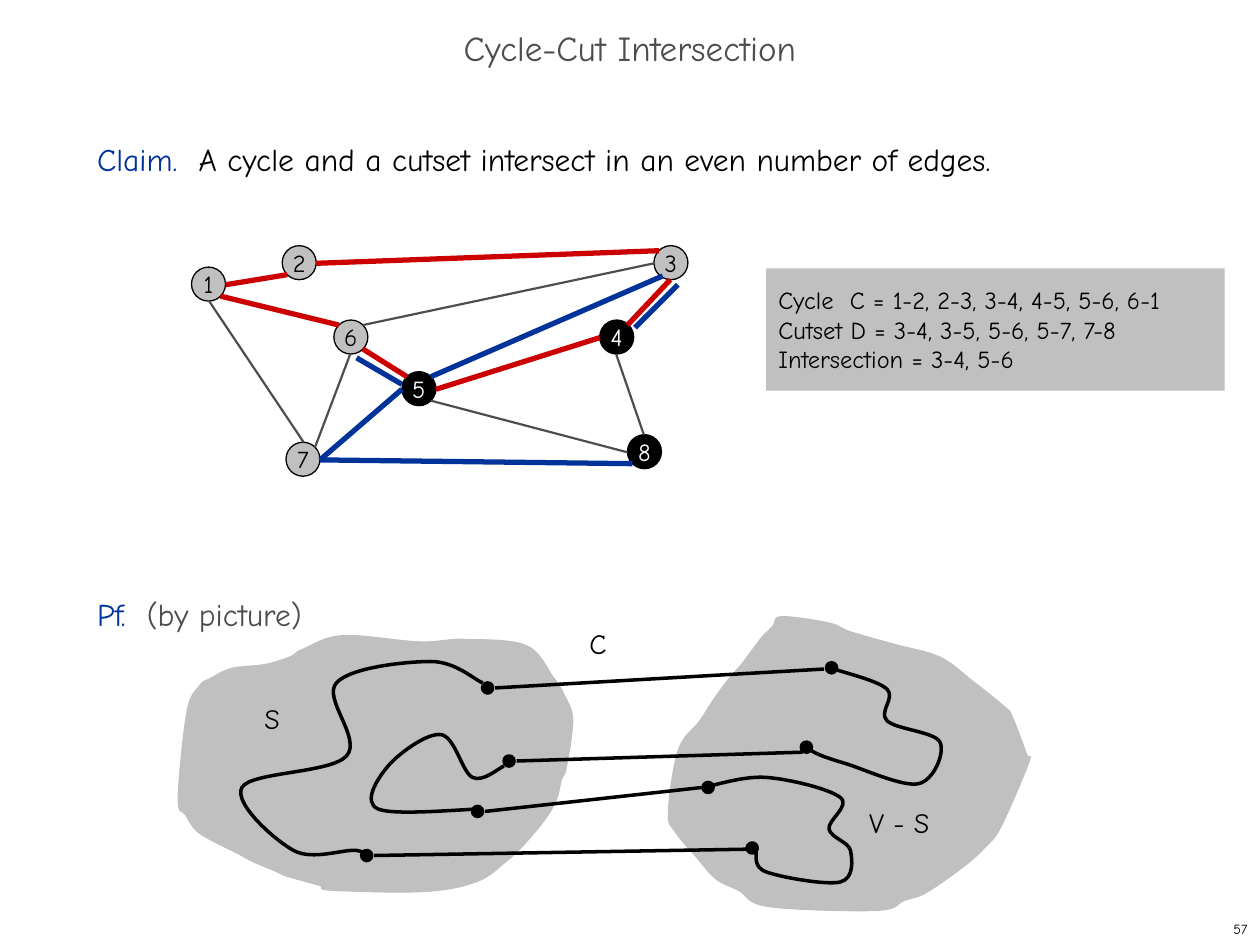
from dataclasses import dataclass

from lxml import etree
from pptx import Presentation, dml, util as u
from pptx.dml import color
from pptx.enum import shapes, text
from pptx.oxml import ns

Inches, Pt = u.Inches, u.Pt


@dataclass(frozen=True)
class Theme:
    font: str = "Comic Neue"
    black: str = "000000"
    ink: str = "010000"
    white: str = "FFFFFF"
    grey: str = "C0C0C0"
    dark: str = "4D4D4D"
    red: str = "CC0000"
    blue: str = "003399"
    title: int = 20
    body: int = 18
    label: int = 16
    node: int = 14
    number: int = 8


theme = Theme()
rgb = color.RGBColor.from_string


def write(paragraph, size, *runs):
    for content, ink in runs:
        run = paragraph.add_run()
        run.text = content
        run.font.name = theme.font
        run.font.size = Pt(size)
        run.font.color.rgb = rgb(ink)


def draw_curve(points, closed=False):
    corners = [(Inches(x), Inches(y)) for x, y in points]
    if closed:
        corners.append(corners[0])
    builder = slide.shapes.build_freeform(*corners[0], scale=1.0)
    builder.add_line_segments(corners[1:], close=closed)
    shape = builder.convert_to_shape()
    shape.shadow.inherit = False
    knots = [(int(point.get("x")), int(point.get("y")))
             for point in shape._element.iter(ns.qn("a:pt"))]
    before, after = (knots[-2], knots[1]) if closed else (knots[0], knots[-1])
    padded = [before, *knots, after]
    for index, segment in enumerate(list(shape._element.iter(ns.qn("a:lnTo")))):
        p0, p1, p2, p3 = padded[index:index + 4]
        leave = [b + (c - a) / 6 for a, b, c in zip(p0, p1, p2)]
        arrive = [b - (c - a) / 6 for a, b, c in zip(p1, p2, p3)]
        curve = etree.Element(ns.qn("a:cubicBezTo"))
        for x, y in (leave, arrive, p2):
            etree.SubElement(curve, ns.qn("a:pt"), x=str(round(x)), y=str(round(y)))
        segment.getparent().replace(segment, curve)
    return shape


presentation = Presentation()
presentation.slide_width, presentation.slide_height = Inches(10), Inches(7.5)
slide = presentation.slides.add_slide(presentation.slide_layouts[1])

blobs = [
    [(6.2, 4.89), (6.58, 4.94), (6.75, 5.01), (7.1, 5.11), (7.46, 5.21), (7.72, 5.4),
     (7.98, 5.61), (8.04, 5.69), (8.15, 5.98), (8.17, 6.05), (7.95, 6.56), (7.82, 6.73),
     (7.64, 6.89), (7.35, 7.09), (7.18, 7.15), (6.96, 7.23), (6.1, 7.2), (5.86, 7.07),
     (5.68, 6.98), (5.52, 6.8), (5.36, 6.61), (5.3, 6.45), (5.38, 5.95), (5.55, 5.72),
     (5.66, 5.55), (5.77, 5.4), (5.89, 5.26), (6.04, 5.06), (6.13, 4.97)],
    [(1.67, 5.38), (1.84, 5.3), (2.1, 5.27), (2.3, 5.21), (2.4, 5.15), (2.72, 5.04),
     (3.33, 5.09), (3.69, 5.07), (4.18, 5.12), (4.4, 5.38), (4.48, 5.51), (4.55, 5.71),
     (4.5, 6.09), (4.46, 6.19), (4.42, 6.35), (4.32, 6.52), (4.14, 6.73), (4.02, 6.84),
     (3.79, 7), (3.37, 7.08), (2.63, 7.07), (2.53, 7.03), (2.28, 6.96), (2.19, 6.92),
     (2, 6.84), (1.89, 6.78), (1.67, 6.67), (1.55, 6.59), (1.47, 6.47), (1.41, 6.34),
     (1.48, 5.65), (1.58, 5.44)],
]
for points in blobs:
    blob = draw_curve(points, closed=True)
    blob.fill.solid()
    blob.fill.fore_color.rgb = rgb(theme.grey)
    blob.line.fill.background()

title, body = slide.placeholders
title.left, title.top, title.width, title.height = map(Inches, (0, 0.17, 10, 0.5))
title.text_frame.vertical_anchor = text.MSO_ANCHOR.MIDDLE
title.text_frame.auto_size = text.MSO_AUTO_SIZE.NONE
heading = title.text_frame.paragraphs[0]
heading.alignment = text.PP_ALIGN.CENTER
heading.line_spacing = 0.7
write(heading, theme.title, ("Cycle-Cut Intersection", theme.dark))

body.left, body.top, body.width, body.height = map(Inches, (0.67, 1, 8.58, 5.92))
body.text_frame.auto_size = text.MSO_AUTO_SIZE.NONE
claim, proof = body.text_frame.paragraphs[0], body.text_frame.add_paragraph()
for paragraph, gap, runs in [
    (claim, 0, [("Claim.  ", theme.blue),
                ("A cycle and a cutset intersect in an even number of edges.", theme.black)]),
    (proof, 8 * 26 + 26, [("Pf.  ", theme.blue), ("(by picture)", theme.dark)]),
]:
    properties = paragraph._p.get_or_add_pPr()
    properties.set("marL", str(Inches(0.38)))
    properties.set("indent", str(Inches(-0.38)))
    etree.SubElement(properties, ns.qn("a:buNone"))
    paragraph.line_spacing = Pt(26)
    paragraph.space_before = Pt(gap)
    write(paragraph, theme.body, *runs)

endpoints = [(6.56, 5.26), (3.83, 5.42), (2.87, 6.75), (5.93, 6.69),
             (4, 6), (6.36, 5.89), (3.75, 6.4), (5.58, 6.21)]
nodes = [("1", 1.52, 2.12, False), ("3", 5.19, 1.95, False), ("8", 4.98, 3.45, True),
         ("2", 2.24, 1.95, False), ("6", 2.65, 2.54, False), ("7", 2.27, 3.51, False),
         ("4", 4.76, 2.54, True), ("5", 3.19, 2.95, True)]
circles = [("", x, y, 0.08, theme.ink, theme.black, 2) for x, y in endpoints]
circles += [(name, x, y, 0.27, theme.ink if outside else theme.grey,
             theme.white if outside else theme.black, 0.75)
            for name, x, y, outside in nodes]
for name, x, y, size, fill, ink, weight in circles:
    circle = slide.shapes.add_shape(shapes.MSO_SHAPE.OVAL, *map(Inches, (x, y, size, size)))
    circle.shadow.inherit = False
    circle.fill.solid()
    circle.fill.fore_color.rgb = rgb(fill)
    circle.line.color.rgb = rgb(theme.black)
    circle.line.width = Pt(weight)
    if name:
        frame = circle.text_frame
        frame.word_wrap = False
        frame.vertical_anchor = text.MSO_ANCHOR.MIDDLE
        frame.paragraphs[0].alignment = text.PP_ALIGN.CENTER
        write(frame.paragraphs[0], theme.node, (name, ink))

line_groups = [
    (theme.black, 2, [(3.93, 5.46, 6.54, 5.31), (4.1, 6.04, 6.37, 5.97),
                      (5.92, 6.74, 2.97, 6.79), (5.57, 6.25, 3.85, 6.44)]),
    (theme.dark, 1.25, [(1.66, 2.39, 2.41, 3.51), (2.88, 2.58, 5.19, 2.09),
                        (3.42, 3.18, 4.98, 3.59), (4.89, 2.81, 5.11, 3.45),
                        (2.78, 2.81, 2.5, 3.55)]),
    (theme.red, 3, [(1.79, 2.26, 2.28, 2.18), (1.75, 2.35, 2.69, 2.58),
                    (4.98, 2.58, 5.32, 2.22), (2.88, 2.77, 3.23, 2.99),
                    (3.46, 3.09, 4.76, 2.68), (2.51, 2.09, 5.23, 1.99)]),
    (theme.blue, 3, [(5.26, 2.19, 3.42, 2.99), (2.54, 3.65, 3.19, 3.09),
                     (2.54, 3.65, 5.02, 3.68), (2.83, 2.84, 3.19, 3.05),
                     (5.04, 2.6, 5.38, 2.26)]),
]
for ink, weight, edges in line_groups:
    for edge in edges:
        line = slide.shapes.add_connector(shapes.MSO_CONNECTOR.STRAIGHT, *map(Inches, edge))
        line.line.color.rgb = rgb(ink)
        line.line.width = Pt(weight)
        etree.SubElement(line._element.spPr, ns.qn("a:effectLst"))

cycle_arcs = [
    [(2.92, 6.83), (2.83, 6.75), (2.33, 6.75), (1.92, 6.25), (2.75, 6), (2.67, 5.42),
     (3.42, 5.25), (3.83, 5.42)],
    [(3.83, 6.42), (3, 6.42), (3.08, 6.08), (3.5, 5.83), (3.75, 6.17), (4, 6.08)],
    [(6.38, 5.89), (6.46, 5.97), (6.71, 6.06), (7.29, 6.22), (7.46, 5.89), (7.04, 5.72),
     (7.04, 5.47), (6.62, 5.31)],
    [(5.58, 6.25), (6.08, 6.17), (6.67, 6.33), (6.58, 6.58), (6.75, 6.75), (6.67, 7),
     (6.08, 6.92), (6, 6.75)],
]
for points in cycle_arcs:
    arc = draw_curve(points)
    arc.fill.background()
    arc.line.color.rgb = rgb(theme.black)
    arc.line.width = Pt(2)

for content, box, size, alignment in [
    ("S", (2, 5.52, 0.42, 0.41), theme.label, text.PP_ALIGN.LEFT),
    ("V - S", (6.8, 6.34, 0.92, 0.41), theme.label, text.PP_ALIGN.LEFT),
    ("C", (4.58, 4.92, 0.42, 0.41), theme.label, text.PP_ALIGN.LEFT),
    ("57", (7.92, 7.25, 2.08, 0.25), theme.number, text.PP_ALIGN.RIGHT),
]:
    label = slide.shapes.add_textbox(*map(Inches, box))
    label.text_frame.word_wrap = True
    label.text_frame.paragraphs[0].alignment = alignment
    write(label.text_frame.paragraphs[0], size, (content, theme.black))
label.text_frame.vertical_anchor = text.MSO_ANCHOR.MIDDLE

summary = slide.shapes.add_shape(shapes.MSO_SHAPE.RECTANGLE, *map(Inches, (6.08, 2.13, 3.64, 0.97)))
summary.shadow.inherit = False
summary.fill.solid()
summary.fill.fore_color.rgb = rgb(theme.grey)
summary.line.fill.background()
frame = summary.text_frame
frame.word_wrap = True
frame.vertical_anchor = text.MSO_ANCHOR.MIDDLE
frame.margin_top = frame.margin_bottom = Inches(0.08)
for index, content in enumerate(["Cycle  C = 1-2, 2-3, 3-4, 4-5, 5-6, 6-1",
                                 "Cutset D = 3-4, 3-5, 5-6, 5-7, 7-8",
                                 "Intersection = 3-4, 5-6"]):
    paragraph = frame.add_paragraph() if index else frame.paragraphs[0]
    paragraph.alignment = text.PP_ALIGN.LEFT
    write(paragraph, theme.node, (content, theme.black))

presentation.save("out.pptx")
